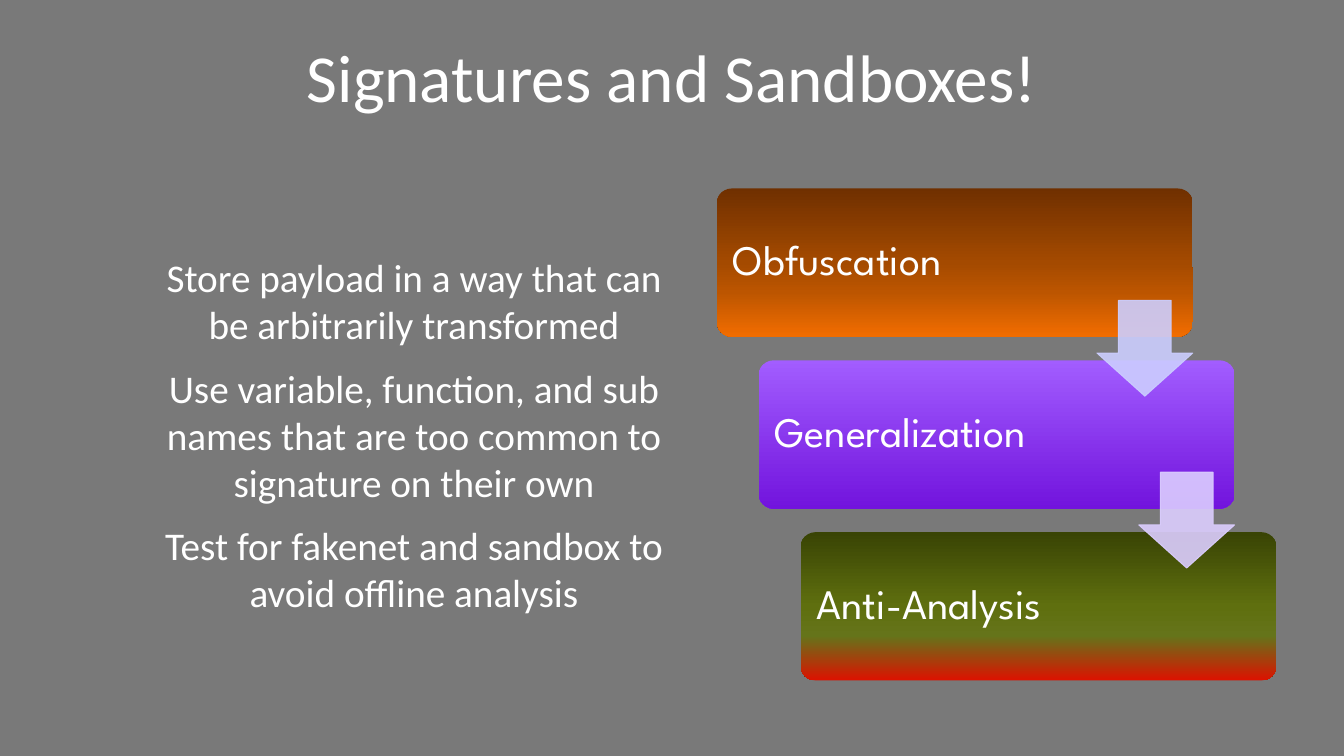
from dataclasses import dataclass

from lxml.etree import SubElement
from pptx import Presentation
from pptx.dml.color import RGBColor
from pptx.enum.shapes import MSO_SHAPE
from pptx.enum.text import MSO_ANCHOR, PP_ALIGN
from pptx.oxml.ns import qn
from pptx.shapes.autoshape import Shape
from pptx.slide import Slide
from pptx.text.text import TextFrame
from pptx.util import Inches, Pt


@dataclass(frozen=True)
class Theme:
    back: str = "797979"
    text: str = "FFFFFF"
    font: str = "Calibri"
    label_font: str = "League Spartan"
    title: int = 48
    body: int = 28
    label: int = 30


@dataclass(frozen=True)
class Card:
    label: str
    stops: tuple[tuple[int, str], ...]  # percent, colour


THEME = Theme()
TITLE = "Signatures and Sandboxes!"
POINTS = (
    "Store payload in a way that can be arbitrarily transformed",
    "Use variable, function, and sub names that are too common to signature on their own",
    "Test for fakenet and sandbox to avoid offline analysis",
)
CARDS = (
    Card("Obfuscation", ((0, "703000"), (50, "A44A00"), (70, "BC5500"), (100, "F26D00"))),
    Card("Generalization", ((0, "A25DFF"), (100, "7214DD"))),
    Card("Anti-Analysis", ((0, "394404"), (50, "5F6F0F"), (70, "65741A"), (100, "DC1200"))),
)
ARROWS = ("CCCEFF", "DCCEFF")

# Staircase of cards, in inches
LEFT, TOP = 7.11, 1.87
WIDE, HIGH = 4.72, 1.47
STEP_X, STEP_Y = 0.415, 1.705
ARROW = 0.95
ARROW_DROP = 1.11


def write(frame: TextFrame, lines: tuple[str, ...], size: int, font: str,
          align: PP_ALIGN) -> None:
    frame.word_wrap = True
    frame.vertical_anchor = MSO_ANCHOR.MIDDLE
    frame.text = "\n".join(lines)
    for para in frame.paragraphs:
        para.alignment = align
        para.font.size = Pt(size)
        para.font.name = font
        para.font.color.rgb = RGBColor.from_string(THEME.text)


def shade(shape: Shape, stops: tuple[tuple[int, str], ...]) -> None:
    shape.fill.gradient()
    shape.fill.gradient_angle = 270
    items = shape.fill._fill._gradFill.find(qn("a:gsLst"))
    items.clear()
    for spot, color in stops:
        stop = SubElement(items, qn("a:gs"), pos=str(spot * 1000))
        SubElement(stop, qn("a:srgbClr"), val=color)


def add_card(slide: Slide, card: Card, x: float, y: float) -> None:
    box = slide.shapes.add_shape(MSO_SHAPE.ROUNDED_RECTANGLE, Inches(x), Inches(y),
                                 Inches(WIDE), Inches(HIGH))
    box.adjustments[0] = 0.1
    box.shadow.inherit = False
    box.line.fill.background()
    shade(box, card.stops)

    label = slide.shapes.add_textbox(Inches(x + 0.04), Inches(y + 0.04),
                                     Inches(3.27), Inches(1.38))
    frame = label.text_frame
    frame.margin_left = frame.margin_right = Inches(0.12)
    frame.margin_top = frame.margin_bottom = Inches(0.12)
    write(frame, (card.label,), THEME.label, THEME.label_font, PP_ALIGN.LEFT)
    frame.paragraphs[0].line_spacing = 0.9


def add_arrow(slide: Slide, color: str, x: float, y: float) -> None:
    arrow = slide.shapes.add_shape(MSO_SHAPE.DOWN_ARROW, Inches(x), Inches(y),
                                   Inches(ARROW), Inches(ARROW))
    arrow.adjustments[0] = 0.55
    arrow.adjustments[1] = 0.45
    arrow.shadow.inherit = False
    arrow.line.width = Pt(0.75)
    for fill in (arrow.fill, arrow.line.fill):
        fill.solid()
        fill.fore_color.rgb = RGBColor.from_string(color)
    # Fill and outline are both slightly see-through
    for tint in arrow._element.spPr.iter(qn("a:srgbClr")):
        SubElement(tint, qn("a:alpha"), val="90000")


def main() -> None:
    deck = Presentation()
    deck.slide_width, deck.slide_height = Inches(13.33), Inches(7.5)
    slide = deck.slides.add_slide(deck.slide_layouts[5])
    slide.background.fill.solid()
    slide.background.fill.fore_color.rgb = RGBColor.from_string(THEME.back)

    # Title
    title = slide.shapes.title
    title.left, title.top = Inches(1.25), Inches(0.21)
    title.width, title.height = Inches(10.83), Inches(1.08)
    write(title.text_frame, (TITLE,), THEME.title, THEME.font, PP_ALIGN.CENTER)

    # Advice on the left
    body = slide.shapes.add_textbox(Inches(1.33), Inches(TOP), Inches(5.55), Inches(4.88))
    write(body.text_frame, POINTS, THEME.body, THEME.font, PP_ALIGN.CENTER)
    for para in body.text_frame.paragraphs:
        para.space_after = Pt(11.6)

    # Cards, then the arrows that join them
    for i, card in enumerate(CARDS):
        add_card(slide, card, LEFT + i * STEP_X, TOP + i * STEP_Y)
    for i, color in enumerate(ARROWS):
        add_arrow(slide, color, LEFT + WIDE - ARROW + i * STEP_X,
                  TOP + ARROW_DROP + i * STEP_Y)

    deck.save("out.pptx")


if __name__ == "__main__":
    main()
